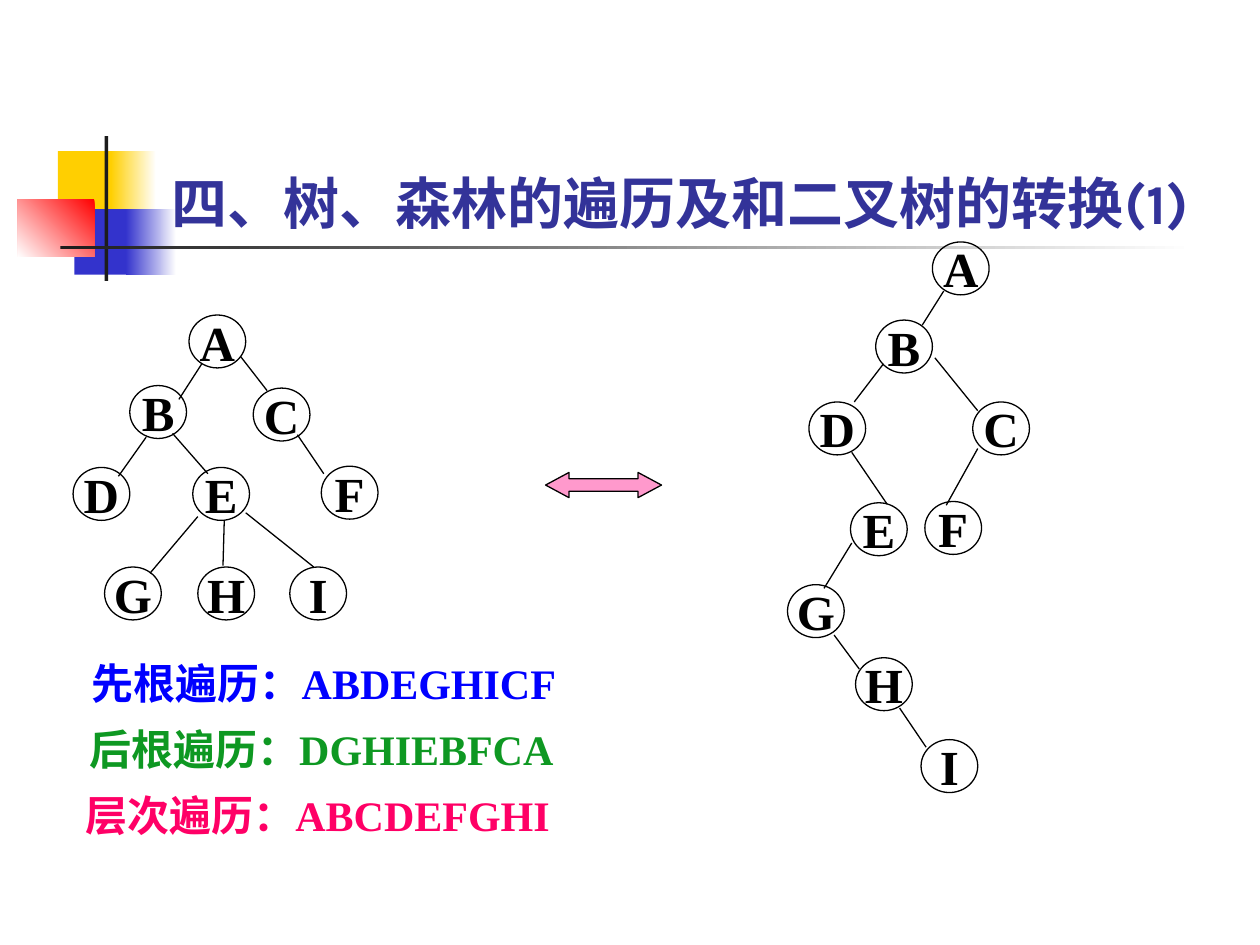
from lxml.etree import SubElement
from pptx import Presentation
from pptx.dml.color import RGBColor
from pptx.enum.shapes import MSO_CONNECTOR as Connector, MSO_SHAPE as Shape
from pptx.enum.text import MSO_ANCHOR as Anchor, MSO_AUTO_SIZE as AutoSize, PP_ALIGN as Align
from pptx.oxml.ns import qn
from pptx.util import Inches, Pt

COLORS = {
    "white": "FFFFFF", "black": "000000", "ink": "1C1C1C", "title": "333399",
    "yellow": "FFCF01", "indigo": "3333CC", "red": "FF0000", "pink": "FF99CC",
    "blue": "0000FF", "green": "0E9822", "rose": "FF0066",
}
CHINESE_FONT = "Noto Sans CJK SC"
LATIN_FONT = "Times New Roman"

deck = Presentation()
deck.slide_width, deck.slide_height = Inches(10), Inches(7.5)
CELL = deck.slide_width // 100  # the grid has 100 columns and 75 rows
page = deck.slides.add_slide(deck.slide_layouts[5])


def add_block(shapes, kind, place, fill=None, angle=None, outlined=False):
    """Place a shape by grid cells; fill is None, one colour or a pair to blend."""
    block = shapes.add_shape(kind, *[round(cells * CELL) for cells in place])
    block.shadow.inherit = False
    if fill is None:
        block.fill.background()
    elif isinstance(fill, tuple):
        block.fill.gradient()
        block.fill.gradient_angle = angle
        for stop, name in zip(block.fill.gradient_stops, fill):
            stop.color.rgb = RGBColor.from_string(COLORS[name])
    else:
        block.fill.solid()
        block.fill.fore_color.rgb = RGBColor.from_string(COLORS[fill])
    if outlined:
        block.line.color.rgb = RGBColor.from_string(COLORS["black"])
        block.line.width = Pt(0.75)
    else:
        block.line.fill.background()
    return block


def write(box, text, size, color="black", font=LATIN_FONT, align=Align.LEFT,
          anchor=Anchor.MIDDLE, wrap=False):
    frame = box.text_frame
    frame.auto_size = AutoSize.NONE
    frame.word_wrap = wrap
    frame.vertical_anchor = anchor
    para = frame.paragraphs[0]
    para.alignment = align
    span = para.add_run()
    span.text = text
    span.font.size, span.font.bold, span.font.name = Pt(size), True, font
    span.font.color.rgb = RGBColor.from_string(COLORS[color])
    SubElement(span.font._element, qn("a:ea"), typeface=CHINESE_FONT)


# Corner ornament and the rule under the title
for place, fill, angle in [
    ((4.6, 12, 4.8, 5.2), "yellow", None),
    ((8.8, 12, 3.6, 5.2), ("yellow", "white"), 0),
    ((5.9, 16.6, 4.6, 5.2), "indigo", None),
    ((10, 16.6, 4, 5.2), ("indigo", "white"), 0),
    ((1.4, 15.8, 6.1, 4.6), ("red", "white"), 225),
    ((8.3, 10.8, 0.3, 11.5), "ink", None),
    ((4.8, 19.5, 90, 0.3), ("ink", "white"), 0),
]:
    add_block(page.shapes, Shape.RECTANGLE, place, fill, angle)

# The title stands in front of the ornament
title = page.shapes.title
title.element.getparent().append(title.element)
title.left, title.top, title.width, title.height = [
    round(cells * CELL) for cells in (12.6, 6.7, 85.2, 12.5)]
write(title, "四、树、森林的遍历及和二叉树的转换(1)", size=32, color="title",
      font="Karla", anchor=Anchor.BOTTOM, wrap=True)

# Each tree: the left and top of its nodes, then both ends of its branches
general_tree = (
    {"A": (15, 25), "B": (10.3, 30.6), "C": (20.1, 30.8), "D": (5.8, 37.1),
     "E": (15.3, 37.1), "F": (25.5, 37), "G": (8.3, 45), "H": (15.7, 45),
     "I": (23, 45)},
    [(16, 28.9, 14.2, 31.7), (19.1, 28.3, 21.2, 31), (11.6, 34.7, 9.4, 37.8),
     (13.7, 34.4, 16.5, 37.6), (23.6, 34.5, 25.7, 37.6), (15.7, 41, 11.9, 45.5),
     (17.8, 41.3, 17.7, 44.9), (19.5, 40.7, 24.9, 45)],
)
binary_tree = (
    {"A": (74, 19.2), "B": (69.5, 25.4), "C": (77.2, 31.9), "D": (64.2, 31.9),
     "E": (67.5, 39.9), "F": (73.4, 39.8), "G": (62.5, 46.4), "H": (67.9, 52.2),
     "I": (73.1, 58.7)},
    [(74.9, 23.1, 73.2, 25.8), (70.1, 28.9, 67.8, 31.9), (74.2, 28.4, 77.6, 32.6),
     (67.6, 35.9, 70.4, 40), (77.6, 35.6, 75.1, 40.1), (67.6, 43.1, 65.4, 46.7),
     (66.2, 50.4, 68.2, 53.1), (71.4, 56.2, 73.5, 59.3)],
)
NODE_SIZE = (4.5, 4.2)
for nodes, branches in (general_tree, binary_tree):
    tree = page.shapes.add_group_shape()
    for letter, corner in nodes.items():
        node = add_block(tree.shapes, Shape.OVAL, corner + NODE_SIZE, outlined=True)
        write(node, letter, size=28, align=Align.CENTER)
    for ends in branches:
        branch = tree.shapes.add_connector(
            Connector.STRAIGHT, *[round(cells * CELL) for cells in ends])
        branch.line.color.rgb = RGBColor.from_string(COLORS["black"])
        branch.line.width = Pt(0.75)
        SubElement(branch._element.spPr, qn("a:effectLst"))

# Traversal orders of the general tree
for left, top, order, color in [
    (6.3, 51.7, "先根遍历：ABDEGHICF", "blue"),
    (6.1, 56.9, "后根遍历：DGHIEBFCA", "green"),
    (5.8, 62.2, "层次遍历：ABCDEFGHI", "rose"),
]:
    box = page.shapes.add_textbox(
        *[round(cells * CELL) for cells in (left, top, 39.6, 5)])
    write(box, order, size=24, color=color)

arrow = add_block(page.shapes, Shape.LEFT_RIGHT_ARROW, (43.3, 37.5, 9.2, 2),
                  "pink", outlined=True)
arrow.adjustments[0], arrow.adjustments[1] = 0.5, 0.93

deck.save("out.pptx")
